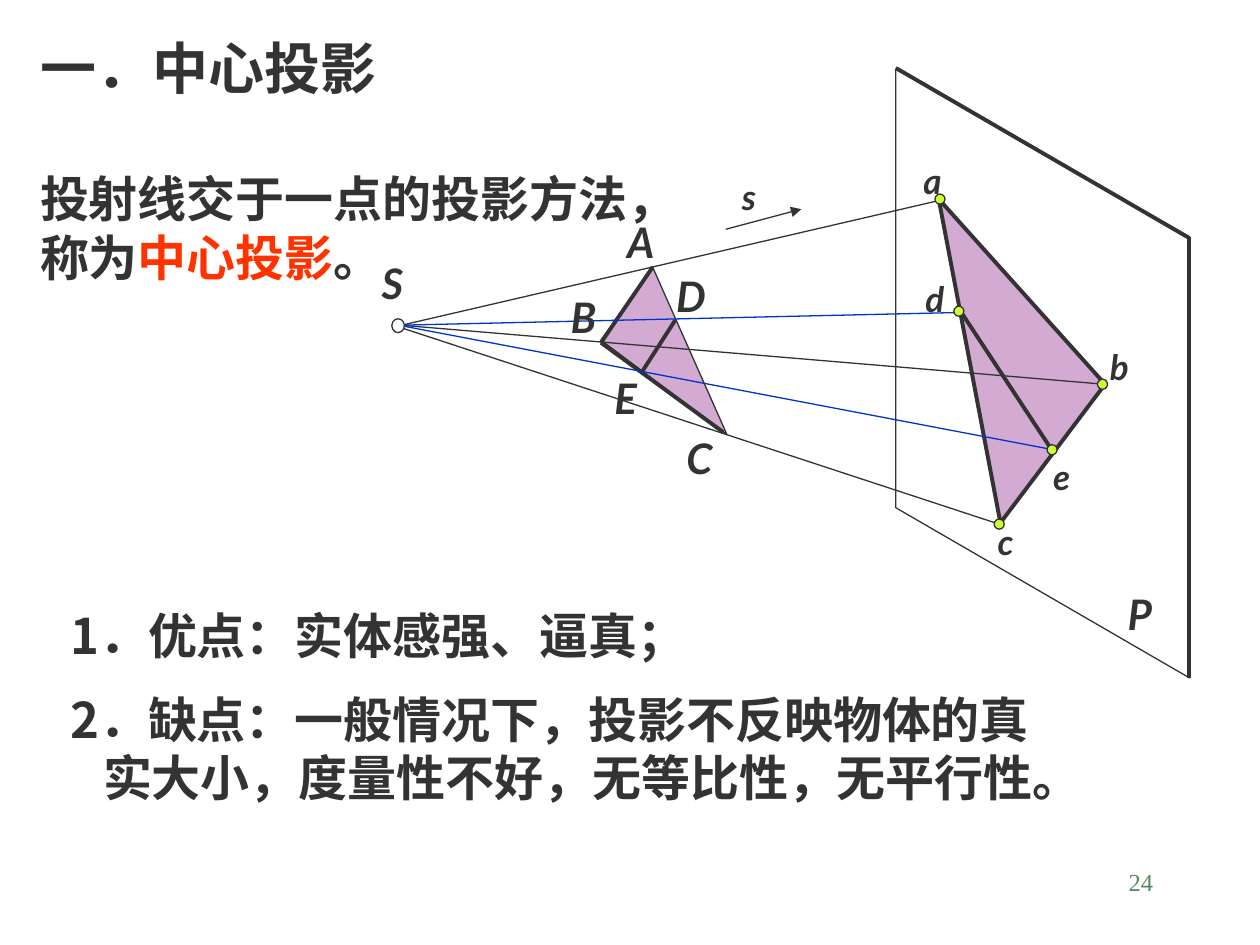
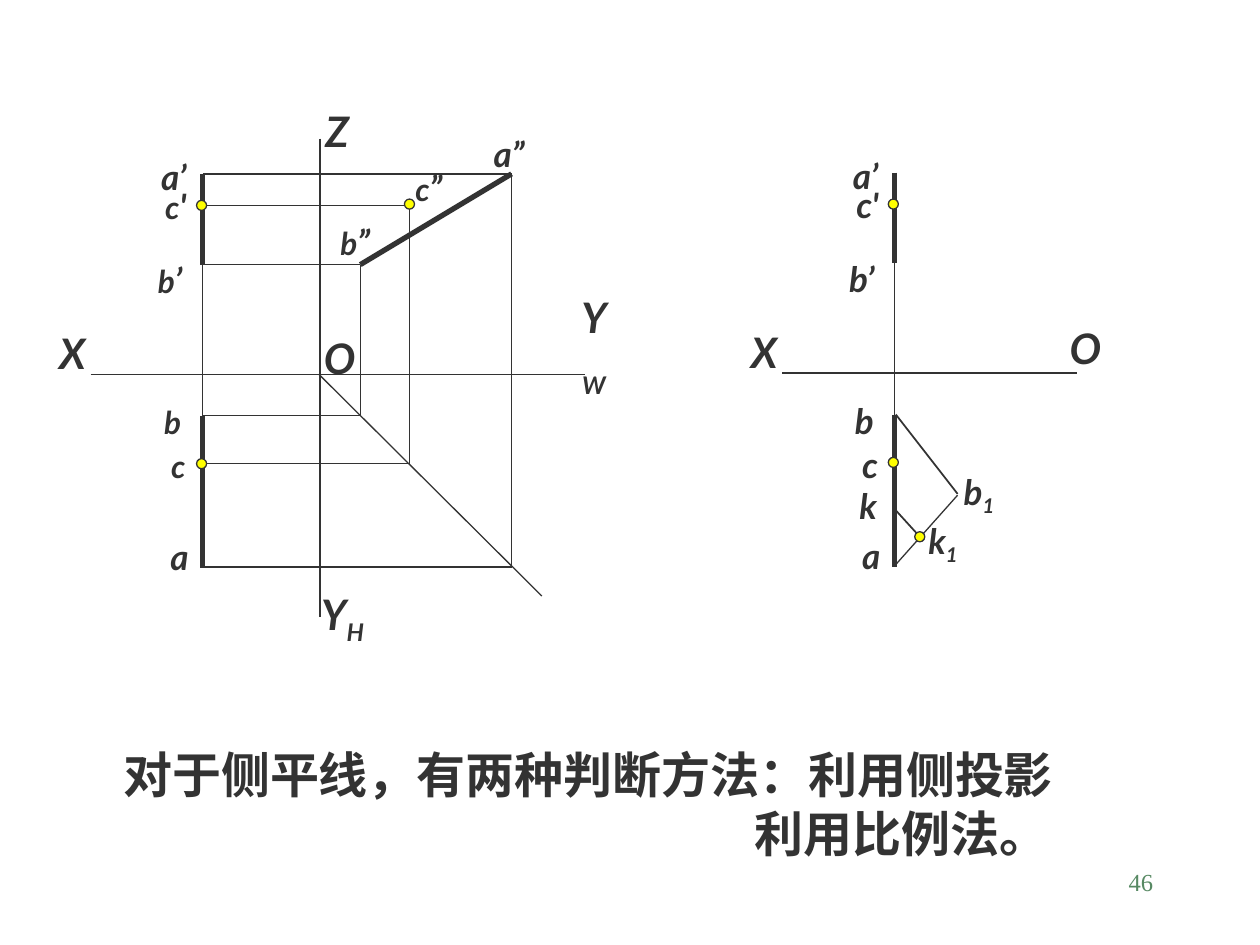
from dataclasses import dataclass

from lxml.etree import SubElement
from pptx import Presentation
from pptx.dml.color import RGBColor
from pptx.enum.shapes import MSO_CONNECTOR, MSO_SHAPE
from pptx.enum.text import MSO_ANCHOR, PP_ALIGN
from pptx.oxml.ns import qn
from pptx.util import Pt

SCALE = 9144  # EMU per px, 100 px to the inch


@dataclass(frozen=True)
class Theme:
    ink: str = "333333"
    accent: str = "FF3300"
    ray: str = "0033CC"
    face: str = "D2AAD2"
    image_point: str = "CCFF33"
    line_point: str = "FFFF00"
    source_point: str = "FFFFFF"
    page: str = "578963"
    serif: str = "Times New Roman"
    body_font: str = "Noto Sans CJK SC"
    label_font: str = "Lato"
    title: int = 32
    body: int = 28
    axis: int = 24
    label: int = 20
    small: int = 18
    footer: int = 14
    thin: float = 0.75
    medium: float = 1
    bold: float = 2.25
    heavy: float = 3
    leading: float = 1.2


def px(length):
    return round(length * SCALE)


class Board:
    def __init__(self, theme):
        self.theme = theme
        self.deck = Presentation()
        self.deck.slide_width, self.deck.slide_height = px(1000), px(750)
        self.slide = None

    def new_slide(self, number):
        self.slide = self.deck.slides.add_slide(self.deck.slide_layouts[6])
        t = self.theme
        page = self.frame(717, 683, 208, 50).paragraphs[0]
        page.alignment = PP_ALIGN.RIGHT
        self.run(page, number, t.footer, t.page, t.serif, bold=False)

    # Text
    def frame(self, left, top, width, height, wrap=True):
        box = self.slide.shapes.add_textbox(px(left), px(top), px(width), px(height))
        box.text_frame.word_wrap = wrap
        return box.text_frame

    def run(self, paragraph, text, size, color, latin, asian=None,
            bold=True, italic=False, baseline=0):
        run = paragraph.add_run()
        run.text = text
        font = run.font
        font.size, font.name, font.bold, font.italic = Pt(size), latin, bold, italic
        font.color.rgb = RGBColor.from_string(color)
        props = run._r.get_or_add_rPr()
        if baseline:
            props.set("baseline", str(baseline * 1000))
        SubElement(props, qn("a:ea")).set("typeface", asian or latin)

    def passage(self, left, top, width, height, lines, latin):
        """Each line is (size, indent, space before in points, runs of (text, colour))."""
        frame = self.frame(left, top, width, height)
        for i, (size, indent, before, runs) in enumerate(lines):
            paragraph = frame.paragraphs[0] if i == 0 else frame.add_paragraph()
            paragraph._p.get_or_add_pPr().set("marL", str(px(indent)))
            paragraph.line_spacing = Pt(size * self.theme.leading)
            if before:
                paragraph.space_before = Pt(before)
            for text, color in runs:
                self.run(paragraph, text, size, color, latin, self.theme.body_font)

    def label(self, left, middle, width, *lines):
        """Each line is a list of (text, size) or (text, size, baseline)."""
        t = self.theme
        size = max(part[1] for part in lines[0])
        height = {t.axis: 50, t.label: 43, t.small: 40}[size]
        frame = self.frame(left, middle - height / 2, width, height, wrap=False)
        frame.vertical_anchor = MSO_ANCHOR.MIDDLE
        for i, parts in enumerate(lines):
            paragraph = frame.paragraphs[0] if i == 0 else frame.add_paragraph()
            paragraph.alignment = PP_ALIGN.CENTER
            for text, points, *base in parts:
                self.run(paragraph, text, points, t.ink, t.label_font,
                         italic=True, baseline=base[0] if base else 0)

    # Drawing
    def line(self, x1, y1, x2, y2, weight=None, color=None, arrow=False):
        link = self.slide.shapes.add_connector(
            MSO_CONNECTOR.STRAIGHT, px(x1), px(y1), px(x2), px(y2))
        self.outline(link, weight, color)
        if arrow:
            SubElement(link.line._get_or_add_ln(), qn("a:tailEnd")).set("type", "triangle")
        SubElement(link._element.spPr, qn("a:effectLst"))

    def outline(self, shape, weight=None, color=None):
        shape.line.color.rgb = RGBColor.from_string(color or self.theme.ink)
        shape.line.width = Pt(weight or self.theme.thin)

    def paint(self, shape, fill, weight=None):
        shape.shadow.inherit = False
        if fill:
            shape.fill.solid()
            shape.fill.fore_color.rgb = RGBColor.from_string(fill)
        else:
            shape.fill.background()
        self.outline(shape, weight)

    def polygon(self, corners, fill=None, weight=None):
        (x, y), *rest = [(px(a), px(b)) for a, b in corners]
        builder = self.slide.shapes.build_freeform(x, y, scale=1.0)
        builder.add_line_segments(rest, close=True)
        self.paint(builder.convert_to_shape(), fill, weight)

    def point(self, left, top, fill, width=8, height=8):
        dot = self.slide.shapes.add_shape(
            MSO_SHAPE.FLOWCHART_CONNECTOR, px(left), px(top), px(width), px(height))
        self.paint(dot, fill)


def central_projection(board):
    t = board.theme
    board.new_slide("24")

    # Title, definition, merits and drawbacks
    board.passage(22, 22, 963, 257, [
        (t.title, 0, 0, [("一．中心投影", t.ink)]),
        (t.body, 0, t.title * t.leading, [("投射线交于一点的投影方法，", t.ink)]),
        (t.body, 0, 0, [("称为", t.ink), ("中心投影", t.accent), ("。", t.ink)]),
    ], t.serif)
    board.passage(46, 476, 954, 57,
                  [(t.body, 0, 0, [("1．优点：实体感强、逼真；", t.ink)])], t.body_font)
    board.passage(46, 542, 954, 103, [
        (t.body, 0, 0, [("2．缺点：一般情况下，投影不反映物体的真", t.ink)]),
        (t.body, 26, 0, [("实大小，度量性不好，无等比性，无平行性。", t.ink)]),
    ], t.body_font)

    # Projection plane P
    board.line(711, 54, 944, 189, t.bold)
    board.line(944, 188, 944, 538, t.bold)
    board.polygon([(711, 55), (944, 188), (944, 538), (711, 403)])

    # Triangle ABC, its image abc and the rays from S
    board.polygon([(477, 270), (518, 212), (577, 345)], t.face)
    board.line(518, 212, 477, 272, t.bold)
    board.line(477, 272, 574, 343, t.bold)
    board.line(315, 259, 746, 159)
    board.line(315, 259, 793, 416)
    board.polygon([(745, 158), (877, 305), (794, 415)], t.face, t.bold)
    board.line(317, 258, 877, 305)
    board.line(576, 182, 636, 166, arrow=True)
    board.point(311, 253, t.source_point, 10, 11)

    # Segment DE and its image de
    board.line(536, 254, 509, 296, t.bold)
    board.line(322, 258, 762, 248, color=t.ray)
    board.line(321, 259, 831, 356, color=t.ray)
    board.line(763, 248, 836, 359, t.bold)

    for left, top in [(742, 154), (789, 412), (871, 301), (757, 243), (831, 353)]:
        board.point(left, top, t.image_point)

    for name, left, middle, width in [
            ("S", 288, 224, 47), ("A", 488, 192, 40), ("B", 443, 251, 38),
            ("C", 535, 363, 36), ("D", 525, 235, 47), ("E", 472, 316, 49),
            ("P", 885, 487, 38)]:
        board.label(left, middle, width, [(name, t.axis)])
    for name, left, middle, width in [
            ("a", 723, 143, 33), ("b", 871, 291, 33), ("c", 782, 430, 31),
            ("d", 720, 237, 44), ("e", 826, 378, 33), ("s", 578, 156, 33)]:
        board.label(left, middle, width, [(name, t.label)])


def front_and_top_views(board, dx, dy, letter):
    """Both projections of line AB with point C, shifted by dx and dy."""
    t = board.theme
    x = 161 + dx
    for top, bottom, weight in [(138, 210, t.heavy), (210, 330, t.thin), (330, 451, t.heavy)]:
        board.line(x, top + dy, x, bottom + dy, weight)
    for top in (159, 364):
        board.point(156 + dx, top + dy, t.line_point)
    for left, middle, width, parts in [
            (31, 280, 53, [("X", t.axis)]),
            (98, 140, 80, [("a’", t.label)]),
            (114, 442, 57, [("a", t.label)]),
            (94, 222, 82, [("b", letter), ("’", t.label)]),
            (111, 335, 52, [("b", letter)]),
            (109, 163, 61, [("c", letter), ("'", t.label)]),
            (111, 370, 61, [("c", letter)])]:
        board.label(left + dx, middle + dy, width, parts)


def side_line_check(board):
    t = board.theme
    board.new_slide("46")

    # Axes of the three views
    board.line(72, 297, 464, 297)
    board.line(254, 110, 254, 490)
    board.line(253, 297, 430, 473)
    board.label(244, 284, 51, [("O", t.axis)])
    board.label(242, 104, 51, [("Z", t.axis)])
    board.label(443, 274, 57, [("Y", t.axis)], [("W", t.axis, -25)])
    board.label(235, 490, 74, [("Y", t.axis), ("H", t.axis, -25)])

    # Projection lines of A, B and C: side view x, upper y, lower y
    for x, upper, lower in [(406, 138, 450), (286, 210, 330), (325, 163, 368)]:
        board.line(161, upper, x, upper)
        board.line(x, upper, x, lower)
        board.line(161, lower, x, lower)

    # Side view
    board.line(406, 138, 286, 210, t.heavy)
    board.point(321, 158, t.line_point)
    board.label(358, 122, 92, [("a”", t.label)])
    board.label(250, 192, 64, [("b", t.small), ("”", t.label)])
    board.label(299, 149, 83, [("c", t.small), ("”", t.label)])
    front_and_top_views(board, 0, 0, t.small)

    # Ratio method
    board.line(621, 296, 855, 296)
    board.label(836, 276, 51, [("O", t.axis)])
    front_and_top_views(board, 549, -1, t.label)
    board.line(711, 448, 760, 393)
    board.line(710, 404, 730, 426, t.medium)
    board.line(760, 392, 711, 329, t.medium)
    board.point(726, 422, t.line_point)
    board.label(741, 392, 72, [("b", t.label), ("1", t.label, -25)])
    board.label(727, 431, 43, [("k", t.label), ("1", t.label, -25)])
    board.label(668, 401, 42, [("k", t.label)])

    # Conclusion
    board.passage(88, 586, 832, 103, [
        (t.body, 0, 0, [("对于侧平线，有两种判断方法：利用侧投影", t.ink)]),
        (t.body, 501, 0, [("利用比例法。", t.ink)]),
    ], t.serif)


def main():
    board = Board(Theme())
    central_projection(board)
    side_line_check(board)
    board.deck.save("out.pptx")


if __name__ == "__main__":
    main()
